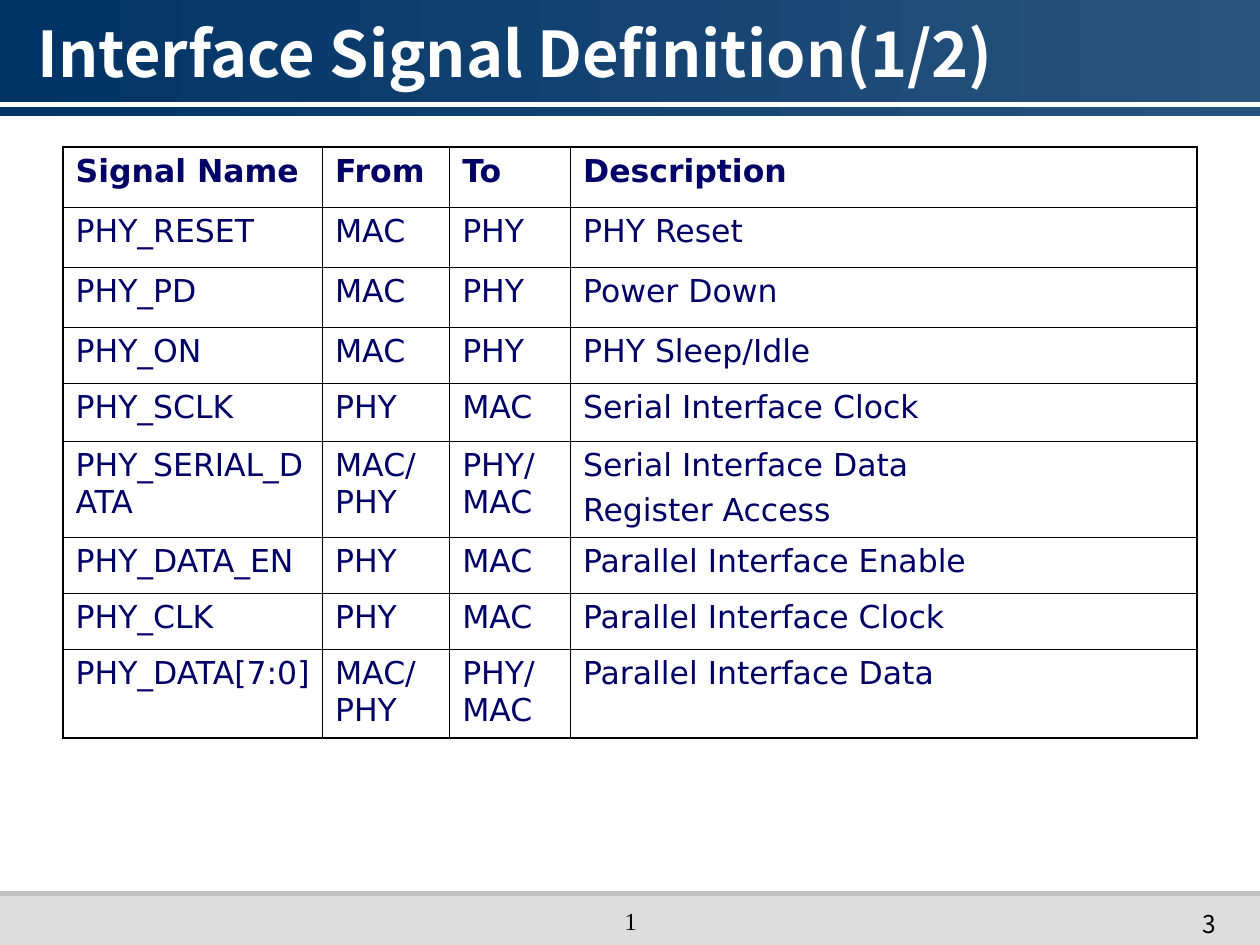
"""Build the slide that lists the interface signals between MAC and PHY."""
from lxml.etree import SubElement
from pptx import Presentation
from pptx.dml.color import RGBColor
from pptx.enum.shapes import MSO_CONNECTOR, MSO_SHAPE
from pptx.enum.text import MSO_ANCHOR, MSO_AUTO_SIZE, PP_ALIGN
from pptx.oxml import parse_xml
from pptx.oxml.ns import nsdecls, qn
from pptx.util import Pt


def rgb(code):
    return RGBColor.from_string(code)


def style(para, face, size, color, bold=False, align=PP_ALIGN.LEFT):
    para.alignment = align
    font = para.font
    font.name, font.size, font.bold = face, Pt(size), bold
    font.color.rgb = rgb(color)


deck = Presentation()
deck.slide_width, deck.slide_height = Pt(720), Pt(540)
slide = deck.slides.add_slide(deck.slide_layouts[5])
shapes = slide.shapes

bars = []
for top, height in ((-2.16, 68.4), (511.2, 28.8)):
    bar = shapes.add_shape(MSO_SHAPE.RECTANGLE, 0, Pt(top), Pt(720), Pt(height))
    bar.shadow.inherit = False
    bar.line.fill.background()
    bars.append(bar)
header, footer = bars
header.fill.gradient()
header.fill.gradient_angle = 0
for stop, color in zip(header.fill.gradient_stops, ("003366", "29547E")):
    stop.color.rgb = rgb(color)
footer.fill.solid()
footer.fill.fore_color.rgb = rgb("DDDDDD")

for y, color in ((510.5, "C0C0C0"), (59.76, "FFFFFF")):
    rule = shapes.add_connector(MSO_CONNECTOR.STRAIGHT, 0, Pt(y), Pt(720), Pt(y))
    rule.line.color.rgb = rgb(color)
    rule.line.width = Pt(3)
    SubElement(rule.element.spPr, qn("a:effectLst"))

title = shapes.title
rule.element.addnext(title.element)
title.left, title.top, title.width, title.height = Pt(14.4), 0, Pt(625), Pt(59.76)
frame = title.text_frame
frame.text = "Interface Signal Definition(1/2)"
frame.auto_size = MSO_AUTO_SIZE.NONE
frame.vertical_anchor = MSO_ANCHOR.MIDDLE
style(frame.paragraphs[0], "Noto Sans CJK KR", 36, "FFFFFF", True)

rows = (
    ("Signal Name", "From", "To", "Description"),
    ("PHY_RESET", "MAC", "PHY", "PHY Reset"),
    ("PHY_PD", "MAC", "PHY", "Power Down"),
    ("PHY_ON", "MAC", "PHY", "PHY Sleep/Idle"),
    ("PHY_SCLK", "PHY", "MAC", "Serial Interface Clock"),
    ("PHY_SERIAL_DATA", "MAC/PHY", "PHY/MAC", "Serial Interface Data\nRegister Access"),
    ("PHY_DATA_EN", "PHY", "MAC", "Parallel Interface Enable"),
    ("PHY_CLK", "PHY", "MAC", "Parallel Interface Clock"),
    ("PHY_DATA[7:0]", "MAC/PHY", "PHY/MAC", "Parallel Interface Data"),
)
widths = (148.3, 72.7, 69.1, 357.9)
heights = (34.3, 34.3, 34.3, 32, 33.1, 55, 32, 32, 50.6)
table = shapes.add_table(len(rows), len(widths), Pt(36), Pt(84.2),
                         Pt(sum(widths)), Pt(sum(heights))).table
table.first_row = table.horz_banding = False
for column, width in zip(table.columns, widths):
    column.width = Pt(width)
for r, (row, height) in enumerate(zip(rows, heights)):
    table.rows[r].height = Pt(height)
    for c, words in enumerate(row):
        cell = table.cell(r, c)
        cell.text = words
        cell.margin_left = cell.margin_right = Pt(7.2)
        cell.margin_top = cell.margin_bottom = Pt(3.6)
        cell.fill.background()
        for n, para in enumerate(cell.text_frame.paragraphs):
            style(para, "DejaVu Sans", 18, "000066", r == 0)
            if n:
                para.space_before = Pt(4.5)
        outer = {"L": c == 0, "R": c == len(widths) - 1,
                 "T": r == 0, "B": r == len(rows) - 1}
        for n, (side, edge) in enumerate(outer.items()):
            weight = Pt(1.08 if edge else 0.45)
            cell.fill._xPr.insert(n, parse_xml(
                f'<a:ln{side} {nsdecls("a")} w="{weight}"><a:solidFill>'
                f'<a:srgbClr val="000000"/></a:solidFill></a:ln{side}>'))

for words, face, align, x, y, width, height in (
        ("3", "Noto Sans CJK KR", PP_ALIGN.RIGHT, 552.2, 516.2, 149.8, 36),
        ("1", "Times New Roman", PP_ALIGN.CENTER, 247, 514.1, 226.8, 17.3)):
    frame = shapes.add_textbox(Pt(x), Pt(y), Pt(width), Pt(height)).text_frame
    frame.word_wrap = True
    frame.text = words
    style(frame.paragraphs[0], face, 14, "000000", align=align)

deck.save("out.pptx")
